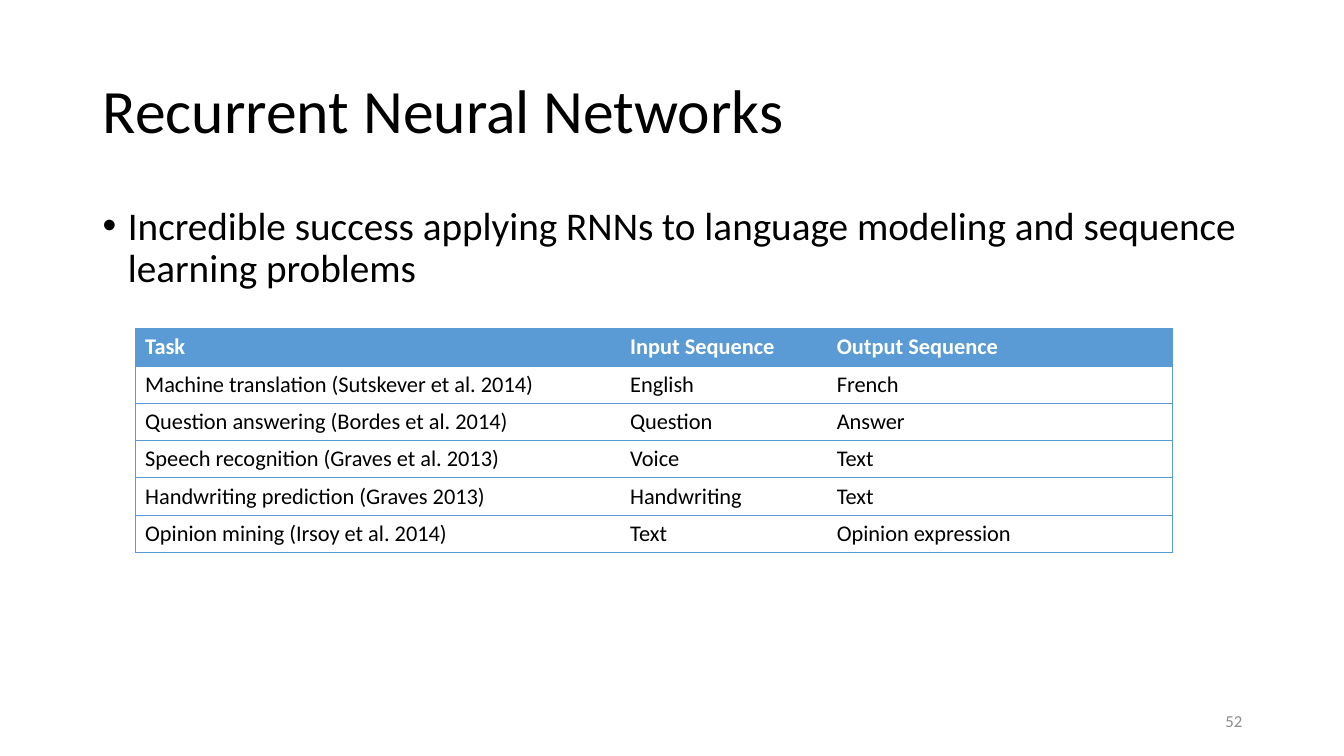
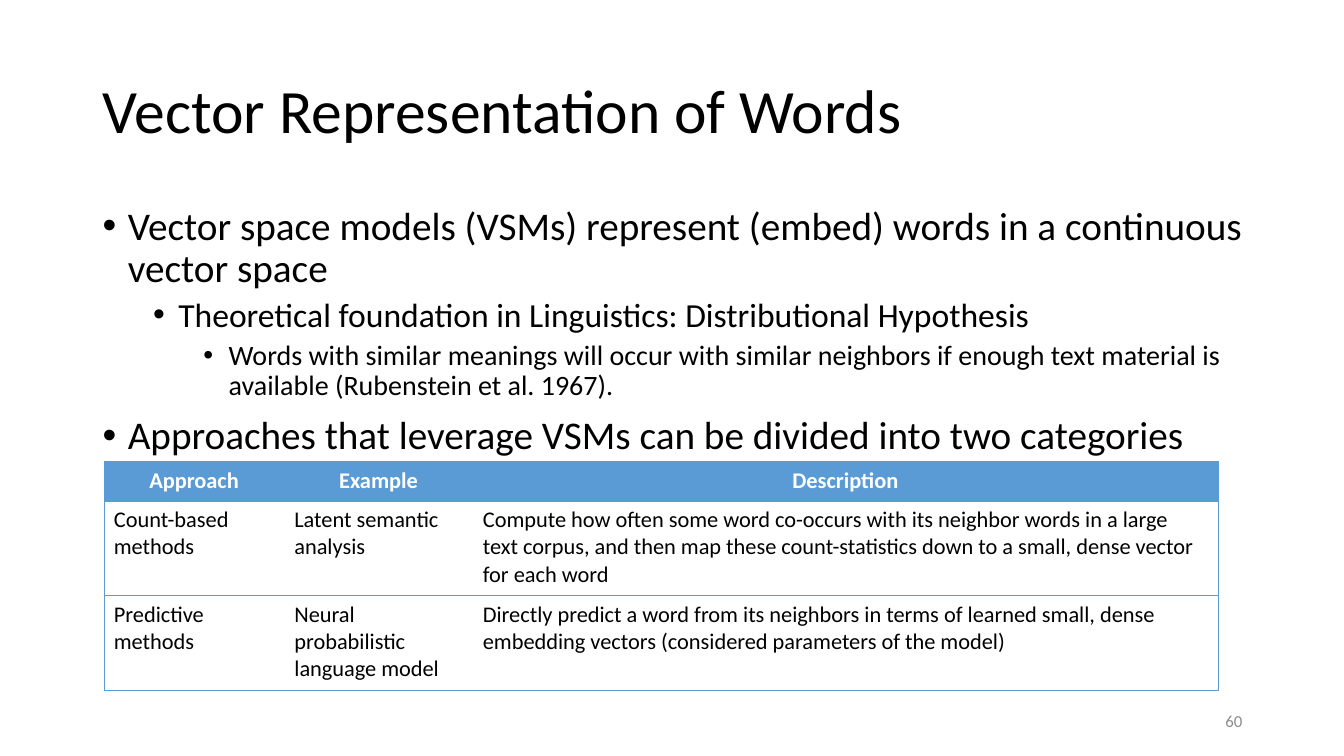
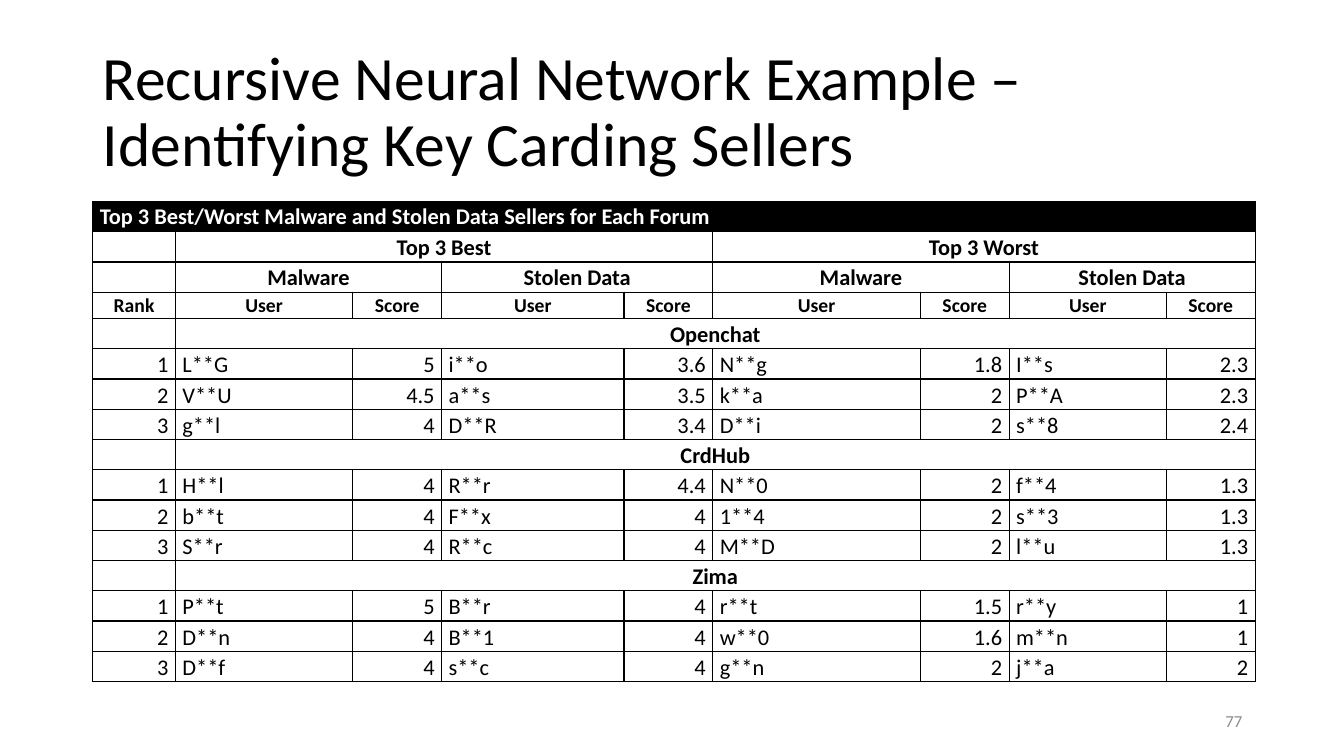
from lxml.etree import SubElement
from pptx import Presentation
from pptx.dml.color import RGBColor
from pptx.enum.text import MSO_ANCHOR, MSO_AUTO_SIZE, PP_ALIGN
from pptx.oxml.ns import qn
from pptx.util import Inches, Pt

FONT, BLACK, WHITE, GRAY, BLUE = "Calibri", "000000", "FFFFFF", "8C8C8C", "5B9BD5"
LEFT, CONTENT_W, BODY_TOP, BODY_H = 0.92, 11.5, 2, 4.76
BULLET_SIZES = [28, 24, 20]


def add_run(p, text, size, color=BLACK, bold=False):
    r = p.add_run()
    r.text = text
    r.font.name, r.font.size, r.font.bold = FONT, Pt(size), bold
    r.font.color.rgb = RGBColor.from_string(color)


def style_cell(cell, sides, color, width, fill=None):
    """Draw the named sides (a subset of LRTB), hide the others, set the fill."""
    tcPr = cell._tc.get_or_add_tcPr()
    for side in "LRTB":
        ln = SubElement(tcPr, qn(f"a:ln{side}"), w=str(Pt(width)))
        if side in sides:
            SubElement(SubElement(ln, qn("a:solidFill")), qn("a:srgbClr"), val=color)
        else:
            SubElement(ln, qn("a:noFill"))
    if fill:
        cell.fill.solid()
        cell.fill.fore_color.rgb = RGBColor.from_string(fill)
    else:
        cell.fill.background()


prs = Presentation()
prs.slide_width, prs.slide_height = Inches(13.33), Inches(7.5)

# Titles, page numbers and bullets
pages = [
    ("Recurrent Neural Networks", "52", [
        (0, "Incredible success applying RNNs to language modeling and sequence learning problems"),
    ]),
    ("Vector Representation of Words", "60", [
        (0, "Vector space models (VSMs) represent (embed) words in a continuous vector space"),
        (1, "Theoretical foundation in Linguistics: Distributional Hypothesis"),
        (2, "Words with similar meanings will occur with similar neighbors if enough text "
            "material is available (Rubenstein et al. 1967)."),
        (0, "Approaches that leverage VSMs can be divided into two categories"),
    ]),
    ("Recursive Neural Network Example – Identifying Key Carding Sellers", "77", []),
]

for title, number, bullets in pages:
    s = prs.slides.add_slide(prs.slide_layouts[5])
    sp = s.shapes.title
    sp.left, sp.top, sp.width, sp.height = map(Inches, (LEFT, 0.4, CONTENT_W, 1.45))
    tf = sp.text_frame
    tf.auto_size, tf.vertical_anchor = MSO_AUTO_SIZE.NONE, MSO_ANCHOR.MIDDLE
    p = tf.paragraphs[0]
    p.alignment, p.line_spacing = PP_ALIGN.LEFT, 0.9
    add_run(p, title, 44)

    if bullets:
        box = s.shapes.add_textbox(*map(Inches, (LEFT, BODY_TOP, CONTENT_W, BODY_H)))
        tf = box.text_frame
        tf.word_wrap = True
        for i, (level, text) in enumerate(bullets):
            p = tf.add_paragraph() if i else tf.paragraphs[0]
            p.level, p.line_spacing = level, 0.9
            if i:
                p.space_before = Pt(5 if level else 10)
            pPr = p._p.get_or_add_pPr()
            pPr.set("marL", str(Inches(0.25 + 0.5 * level)))
            pPr.set("indent", str(Inches(-0.25)))
            SubElement(pPr, qn("a:buFont"), typeface="Arial")
            SubElement(pPr, qn("a:buChar"), char="•")
            add_run(p, text, BULLET_SIZES[level])

    box = s.shapes.add_textbox(*map(Inches, (LEFT + CONTENT_W - 3, 6.95, 3, 0.4)))
    tf = box.text_frame
    tf.word_wrap, tf.vertical_anchor = True, MSO_ANCHOR.MIDDLE
    p = tf.paragraphs[0]
    p.alignment = PP_ALIGN.RIGHT
    add_run(p, number, 12, GRAY)

# Blue tables of the first two slides
blue_tables = [
    (1.34, 3.26, [4.81, 2.05, 3.43], [0.37] * 6, PP_ALIGN.LEFT, [
        ("Task", "Input Sequence", "Output Sequence"),
        ("Machine translation (Sutskever et al. 2014)", "English", "French"),
        ("Question answering (Bordes et al. 2014)", "Question", "Answer"),
        ("Speech recognition (Graves et al. 2013)", "Voice", "Text"),
        ("Handwriting prediction (Graves 2013)", "Handwriting", "Text"),
        ("Opinion mining (Irsoy et al. 2014)", "Text", "Opinion expression"),
    ]),
    (1.03, 4.58, [1.79, 1.87, 7.39], [0.39, 0.94, 0.94], PP_ALIGN.CENTER, [
        ("Approach", "Example", "Description"),
        ("Count-based methods", "Latent semantic analysis",
         "Compute how often some word co-occurs with its neighbor words in a large text corpus, "
         "and then map these count-statistics down to a small, dense vector for each word"),
        ("Predictive methods", "Neural probabilistic language model",
         "Directly predict a word from its neighbors in terms of learned small, dense embedding "
         "vectors (considered parameters of the model)"),
    ]),
]

for s, (left, top, widths, heights, head_align, rows) in zip(prs.slides, blue_tables):
    frame = s.shapes.add_table(len(rows), len(widths),
                               *map(Inches, (left, top, sum(widths), sum(heights))))
    table = frame.table
    table.first_row = table.horz_banding = False
    for column, width in zip(table.columns, widths):
        column.width = Inches(width)
    for i, (height, texts) in enumerate(zip(heights, rows)):
        table.rows[i].height = Inches(height)
        head = i == 0
        for j, text in enumerate(texts):
            cell = table.cell(i, j)
            sides = "TB" + "L" * (j == 0) + "R" * (j == len(texts) - 1)
            style_cell(cell, sides, BLUE, 0.5, BLUE if head else None)
            p = cell.text_frame.paragraphs[0]
            p.alignment = head_align if head else PP_ALIGN.LEFT
            add_run(p, text, 16, WHITE if head else BLACK, head)

# Seller ranking; a row is a list of (column, text, columns spanned)
forums = {
    "Openchat": ["L**G 5 i**o 3.6 N**g 1.8 I**s 2.3",
                 "V**U 4.5 a**s 3.5 k**a 2 P**A 2.3",
                 "g**l 4 D**R 3.4 D**i 2 s**8 2.4"],
    "CrdHub": ["H**l 4 R**r 4.4 N**0 2 f**4 1.3",
               "b**t 4 F**x 4 1**4 2 s**3 1.3",
               "S**r 4 R**c 4 M**D 2 l**u 1.3"],
    "Zima": ["P**t 5 B**r 4 r**t 1.5 r**y 1",
             "D**n 4 B**1 4 w**0 1.6 m**n 1",
             "D**f 4 s**c 4 g**n 2 j**a 2"],
}
HEAD_ROWS, LABEL_ROW = 4, 3
rows = [
    [(0, "Top 3 Best/Worst Malware and Stolen Data Sellers for Each Forum", 9)],
    [(1, "Top 3 Best", 4), (5, "Top 3 Worst", 4)],
    [(j, "Stolen Data" if j in (3, 7) else "Malware", 2) for j in range(1, 9, 2)],
    [(j, text, 1) for j, text in enumerate(["Rank"] + ["User", "Score"] * 4)],
]
for forum, sellers in forums.items():
    rows.append([(1, forum, 8)])
    for rank, line in enumerate(sellers, 1):
        rows.append([(j, text, 1) for j, text in enumerate([str(rank)] + line.split())])

widths = [0.82, 1.76, 0.88, 1.81, 0.88, 2.06, 0.88, 1.56, 0.88]
frame = prs.slides[2].shapes.add_table(len(rows), len(widths),
                                       *map(Inches, (LEFT, BODY_TOP, CONTENT_W, BODY_H)))
table = frame.table
table.first_row = table.horz_banding = False
for column, width in zip(table.columns, widths):
    column.width = Inches(width)
for i, row in enumerate(rows):
    table.rows[i].height = Inches(0.26 if i == LABEL_ROW else 0.3)
    for cell in table.rows[i].cells:
        style_cell(cell, "LRTB", BLACK, 1, BLACK if i == 0 else None)
        cell.margin_left = cell.margin_right = Inches(0.07)
        cell.margin_top = cell.margin_bottom = 0
        if i < HEAD_ROWS:
            cell.vertical_anchor = MSO_ANCHOR.MIDDLE if i else MSO_ANCHOR.TOP
        else:
            cell.vertical_anchor = MSO_ANCHOR.BOTTOM
    for j, text, span in row:
        cell = table.cell(i, j)
        if span > 1:
            cell.merge(table.cell(i, j + span - 1))
        heading = i < HEAD_ROWS or span > 1
        p = cell.text_frame.paragraphs[0]
        p.line_spacing = 1.07
        if heading:
            p.alignment = PP_ALIGN.CENTER if i else PP_ALIGN.LEFT
        else:
            p.alignment = PP_ALIGN.LEFT if j % 2 else PP_ALIGN.RIGHT
        add_run(p, text, 14 if i == LABEL_ROW else 16, BLACK if i else WHITE, heading)
    for cell in table.rows[i].cells:
        if not cell.text_frame.text:
            SubElement(cell.text_frame.paragraphs[0]._p, qn("a:endParaRPr"), sz="1400")

prs.save("out.pptx")
